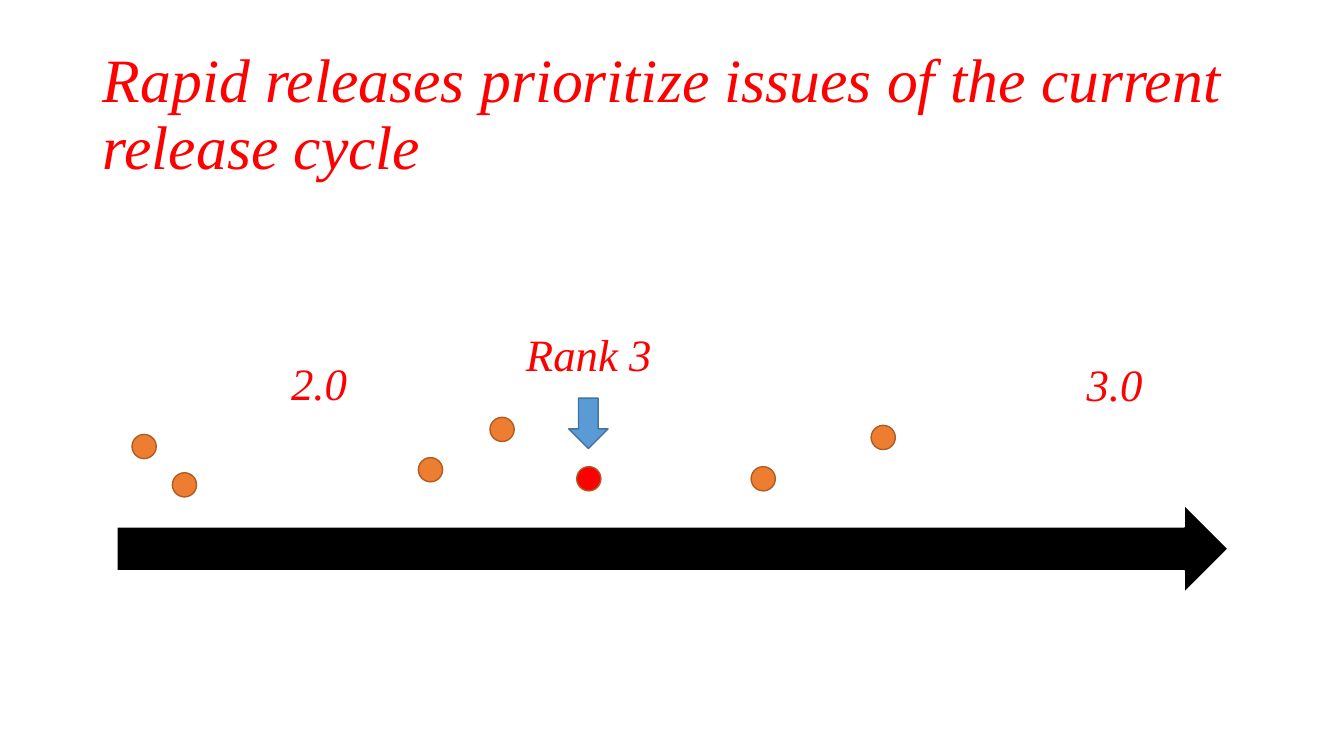
from dataclasses import dataclass

import pptx
import pptx.dml.color
import pptx.enum.shapes
import pptx.enum.text
import pptx.util

Inches = pptx.util.Inches
Pt = pptx.util.Pt
RGBColor = pptx.dml.color.RGBColor
ShapeKind = pptx.enum.shapes.MSO_SHAPE
Alignment = pptx.enum.text.PP_ALIGN
Anchor = pptx.enum.text.MSO_ANCHOR
AutoSize = pptx.enum.text.MSO_AUTO_SIZE


@dataclass(frozen=True)
class Theme:
    font: str = "Times New Roman"
    title_size: int = 44
    label_size: int = 32
    red: str = "FF0000"
    black: str = "000000"
    white: str = "FFFFFF"
    orange: str = "ED7D31"
    orange_line: str = "AF5C24"
    blue: str = "5B9BD5"
    blue_line: str = "43739E"


@dataclass(frozen=True)
class Box:
    left: float
    top: float
    width: float
    height: float

    def lengths(self) -> tuple:
        return tuple(Inches(value) for value in (self.left, self.top, self.width, self.height))


@dataclass(frozen=True)
class Mark:
    kind: ShapeKind
    box: Box
    fill: str
    line: str


@dataclass(frozen=True)
class Label:
    text: str
    box: Box


THEME = Theme()
TITLE = Label("Rapid releases prioritize issues of the current release cycle", Box(0.92, 0.4, 11.5, 1.5))
ISSUE_DIAMETER = 0.24


def issue(left: float, top: float, fill: str = THEME.orange) -> Mark:
    box = Box(left, top, ISSUE_DIAMETER, ISSUE_DIAMETER)
    return Mark(ShapeKind.OVAL, box, fill, THEME.orange_line)


TIMELINE = Mark(ShapeKind.RIGHT_ARROW, Box(1.16, 5.01, 11.02, 0.87), THEME.black, THEME.white)
RANK_POINTER = Mark(ShapeKind.DOWN_ARROW, Box(5.64, 3.95, 0.39, 0.5), THEME.blue, THEME.blue_line)
ISSUES = (
    issue(1.31, 4.31),
    issue(1.71, 4.69),
    issue(4.15, 4.54),
    issue(4.86, 4.14),
    issue(5.72, 4.63, THEME.red),
    issue(7.45, 4.63),
    issue(8.64, 4.22),
)
LABELS = (
    Label("2.0", Box(1.63, 3.48, 3.07, 0.64)),
    Label("3.0", Box(9.52, 3.49, 3.07, 0.64)),
    Label("Rank 3", Box(4.58, 3.19, 2.52, 0.64)),
)


def write(paragraph, text: str, size: int, alignment: Alignment) -> None:
    paragraph.alignment = alignment
    run = paragraph.add_run()
    run.text = text
    run.font.name = THEME.font
    run.font.size = Pt(size)
    run.font.italic = True
    run.font.color.rgb = RGBColor.from_string(THEME.red)


def draw_title(slide, title: Label) -> None:
    shape = slide.shapes.title
    shape.left, shape.top, shape.width, shape.height = title.box.lengths()
    frame = shape.text_frame
    frame.word_wrap = True
    frame.auto_size = AutoSize.NONE
    frame.vertical_anchor = Anchor.MIDDLE
    paragraph = frame.paragraphs[0]
    paragraph.line_spacing = 0.9
    write(paragraph, title.text, THEME.title_size, Alignment.LEFT)


def draw_mark(slide, mark: Mark) -> None:
    shape = slide.shapes.add_shape(mark.kind, *mark.box.lengths())
    shape.shadow.inherit = False
    shape.fill.solid()
    shape.fill.fore_color.rgb = RGBColor.from_string(mark.fill)
    shape.line.color.rgb = RGBColor.from_string(mark.line)
    shape.line.width = Pt(1)


def draw_label(slide, label: Label) -> None:
    frame = slide.shapes.add_textbox(*label.box.lengths()).text_frame
    frame.word_wrap = True
    frame.auto_size = AutoSize.SHAPE_TO_FIT_TEXT
    write(frame.paragraphs[0], label.text, THEME.label_size, Alignment.CENTER)


def main() -> None:
    presentation = pptx.Presentation()
    presentation.slide_width = Inches(13.33)
    presentation.slide_height = Inches(7.5)
    slide = presentation.slides.add_slide(presentation.slide_layouts.get_by_name("Title Only"))
    draw_title(slide, TITLE)
    for mark in (TIMELINE, *ISSUES, RANK_POINTER):
        draw_mark(slide, mark)
    for label in LABELS:
        draw_label(slide, label)
    presentation.save("out.pptx")


if __name__ == "__main__":
    main()
